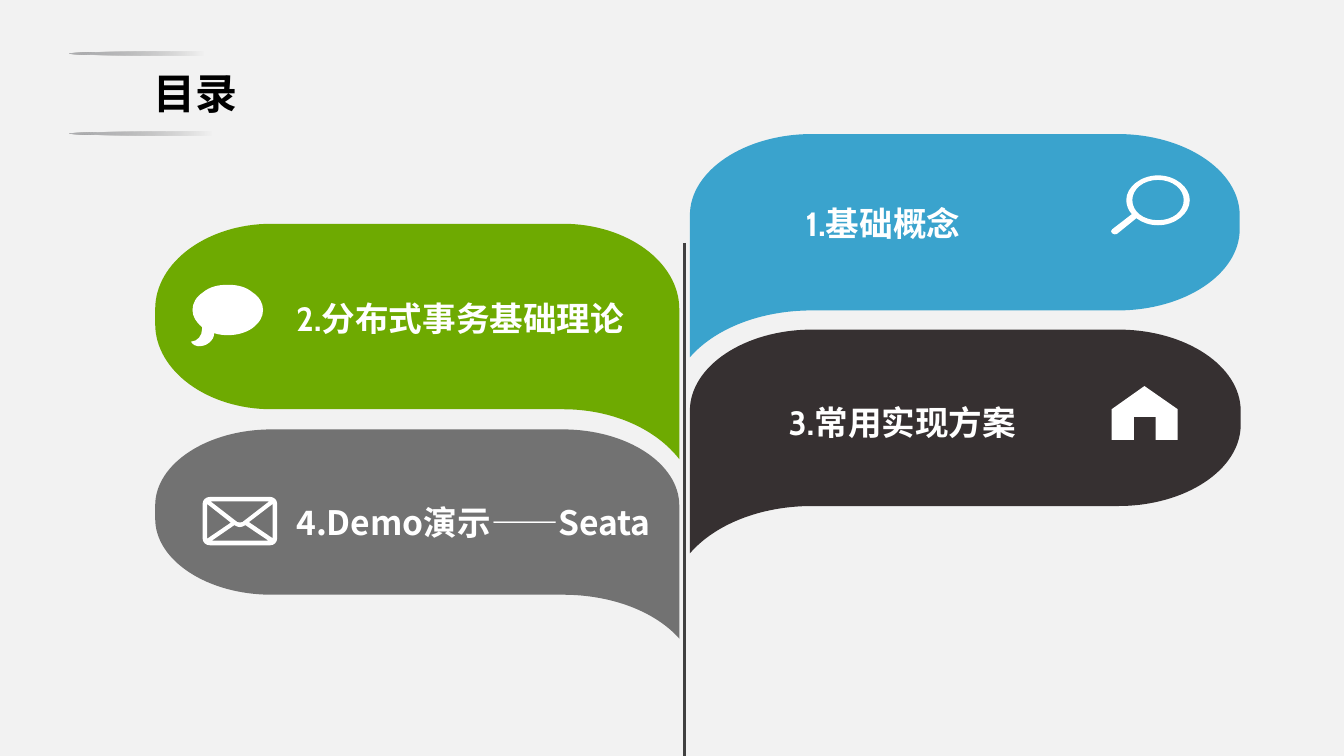
from dataclasses import dataclass

from lxml import etree
from pptx import Presentation
from pptx.dml.color import RGBColor as RGB
from pptx.enum.shapes import MSO_CONNECTOR as CONN, MSO_SHAPE as SHAPE
from pptx.enum.text import MSO_AUTO_SIZE as AUTO
from pptx.oxml import parse_xml
from pptx.oxml.ns import nsdecls, qn
from pptx.util import Pt

PX = 9144  # EMU per px, 100 px to the inch

COLORS = {
    "bg": "F2F2F2", "title": "000000", "white": "FFFFFF", "stem": "404040",
    "green": "6EAA01", "gray": "727272", "blue": "3AA3CD", "dark": "363031",
    "brush": "ACADB0",
}
LATIN, CJK = "Cabin", "Noto Sans CJK SC"

# A contour is a start point, then lines (x, y) and Bezier curves (6 numbers).
Contour = list[tuple]

BUBBLE: list[Contour] = [[
    (522, 615), (522, 629, 515, 640, 501, 651), (488, 660, 471, 665, 452, 665),
    (443, 665, 434, 664, 425, 661), (425, 669, 421, 675, 415, 680),
    (409, 685, 402, 687, 393, 687), (388, 687, 383, 684, 379, 678),
    (386, 677, 391, 675, 395, 670), (399, 666, 401, 659, 401, 653), (401, 649),
    (389, 639, 382, 628, 382, 615), (382, 602, 389, 589, 403, 580),
    (416, 569, 433, 565, 452, 565), (471, 565, 488, 569, 501, 580),
    (515, 589, 522, 602, 522, 615),
]]
ENVELOPE: list[Contour] = [
    [(536, 986), (417, 986), (408, 986, 402, 992, 402, 1000), (402, 1068),
     (402, 1076, 408, 1082, 417, 1082), (536, 1082),
     (544, 1082, 550, 1076, 550, 1068), (550, 1000),
     (550, 992, 544, 986, 536, 986)],
    [(541, 1068), (494, 1036), (541, 1000)],
    [(411, 1069), (411, 1000), (458, 1037)],
    [(481, 1036), (478, 1037, 474, 1037, 471, 1036), (418, 995), (534, 995)],
    [(465, 1042), (469, 1044, 472, 1046, 476, 1046),
     (480, 1046, 483, 1044, 487, 1042), (533, 1073), (420, 1073)],
]
MAGNIFIER: list[Contour] = [
    [(2298, 348), (2264, 348, 2235, 371, 2235, 397),
     (2235, 407, 2239, 417, 2246, 425), (2207, 455),
     (2204, 457, 2204, 461, 2207, 463), (2208, 464, 2210, 465, 2212, 465),
     (2215, 465, 2217, 464, 2218, 463), (2255, 433),
     (2267, 442, 2282, 447, 2298, 447), (2332, 447, 2361, 424, 2361, 397),
     (2361, 371, 2332, 348, 2298, 348)],
    [(2298, 437), (2269, 437, 2247, 420, 2247, 397),
     (2247, 375, 2269, 357, 2298, 357), (2327, 357, 2349, 375, 2349, 397),
     (2349, 420, 2327, 437, 2298, 437)],
]
HOUSE: list[Contour] = [[
    (2271, 766), (2337, 812), (2337, 873), (2293, 873), (2293, 827),
    (2250, 827), (2250, 873), (2206, 873), (2206, 812),
]]


@dataclass
class Leaf:
    color: str
    stem: int
    outer: int
    top: int
    bottom: int
    tip: int
    icon: list[Contour]
    text: str
    text_box: tuple[int, int, int, int]
    font: str = LATIN


LEAVES = [
    Leaf("green", 1348, 308, 444, 812, 911, BUBBLE,
         "2.分布式事务基础理论", (578, 581, 730, 101)),
    Leaf("gray", 1348, 308, 852, 1180, 1267, ENVELOPE,
         "4.Demo演示——Seata", (578, 986, 730, 101), CJK),
    Leaf("blue", 1369, 2460, 266, 616, 709, MAGNIFIER,
         "1.基础概念", (1589, 393, 766, 101)),
    Leaf("dark", 1369, 2462, 654, 1004, 1098, HOUSE,
         "3.常用实现方案", (1555, 787, 768, 101)),
]


def leaf_contour(leaf: Leaf) -> Contour:
    """Rounded bar whose lower inner corner runs out to a tip at the stem."""
    stem, outer, top, bottom, tip = leaf.stem, leaf.outer, leaf.top, leaf.bottom, leaf.tip
    rx = (outer - stem) * 0.222
    ry = (bottom - top) * 0.46
    kx, ky = rx * 0.45, ry * 0.45
    return [
        (stem, tip),
        (stem + rx * 0.2, tip - (tip - bottom) * 0.6,
         stem + rx * 0.57, bottom, stem + rx, bottom),
        (outer - rx, bottom),
        (outer - kx, bottom, outer, bottom - ky, outer, bottom - ry),
        (outer, top + ry),
        (outer, top + ky, outer - kx, top, outer - rx, top),
        (stem + rx, top),
        (stem + kx, top, stem, top + ky, stem, top + ry),
    ]


def add_outline(shapes, contours: list[Contour], color: str) -> None:
    """Draw the contours as one freeform, then bend its curved segments."""
    builder = shapes.build_freeform(*(v * PX for v in contours[0][0]), scale=1.0)
    for i, contour in enumerate(contours):
        if i:
            builder.move_to(*(v * PX for v in contour[0]))
        builder.add_line_segments(
            [(seg[-2] * PX, seg[-1] * PX) for seg in contour[1:]], close=True)
    sp = builder.convert_to_shape()

    segments = [seg for contour in contours for seg in contour[1:]]
    left = min(c[-2] for contour in contours for c in contour) * PX
    top = min(c[-1] for contour in contours for c in contour) * PX
    for line, seg in zip(list(sp.element.iter(qn("a:lnTo"))), segments):
        if len(seg) == 6:
            curve = etree.Element(qn("a:cubicBezTo"))
            for x, y in zip(seg[::2], seg[1::2]):
                pt = etree.SubElement(curve, qn("a:pt"))
                pt.set("x", str(round(x * PX - left)))
                pt.set("y", str(round(y * PX - top)))
            line.getparent().replace(line, curve)

    sp.shadow.inherit = False
    sp.fill.solid()
    sp.fill.fore_color.rgb = RGB.from_string(COLORS[color])
    sp.line.fill.background()


def add_text(shapes, box: tuple[int, int, int, int], text: str, size: int,
             color: str, font: str = LATIN) -> None:
    tf = shapes.add_textbox(*(v * PX for v in box)).text_frame
    tf.word_wrap = True
    tf.auto_size = AUTO.SHAPE_TO_FIT_TEXT
    tf.margin_left = tf.margin_right = tf.margin_top = tf.margin_bottom = 10 * PX
    r = tf.paragraphs[0].add_run()
    r.text = text
    r.font.name, r.font.size, r.font.bold = font, Pt(size), True
    r.font.color.rgb = RGB.from_string(COLORS[color])
    etree.SubElement(r.font._element, qn("a:ea")).set("typeface", CJK)


def add_brush(shapes, box: tuple[int, int, int, int], flip: bool) -> None:
    """Thin ellipse that fades out to the right."""
    sp = shapes.add_shape(SHAPE.OVAL, *(v * PX for v in box))
    sp.shadow.inherit = False
    sp.line.fill.background()
    if flip:
        sp.element.spPr.xfrm.set("flipV", "1")
    sp.element.spPr.insert(2, parse_xml(
        f'<a:gradFill {nsdecls("a")} rotWithShape="1"><a:gsLst>'
        f'<a:gs pos="0"><a:srgbClr val="{COLORS["brush"]}"/></a:gs>'
        f'<a:gs pos="99000"><a:srgbClr val="{COLORS["gray"]}"><a:alpha val="0"/></a:srgbClr></a:gs>'
        '</a:gsLst><a:path path="circle">'
        '<a:fillToRect l="-8000" t="9000" r="108000" b="91000"/></a:path></a:gradFill>'))


def add_stem(shapes, x: int, top: int, bottom: int) -> None:
    line = shapes.add_connector(CONN.STRAIGHT, x * PX, top * PX, x * PX, bottom * PX)
    line.line.color.rgb = RGB.from_string(COLORS["stem"])
    line.line.width = Pt(4)
    etree.SubElement(line.element.spPr, qn("a:effectLst"))


def main() -> None:
    prs = Presentation()
    prs.slide_width, prs.slide_height = 2667 * PX, 1500 * PX
    s = prs.slides.add_slide(prs.slide_layouts[6])
    s.background.fill.solid()
    s.background.fill.fore_color.rgb = RGB.from_string(COLORS["bg"])

    add_brush(s.shapes, (139, 103, 538, 8), flip=True)
    add_brush(s.shapes, (139, 261, 570, 8), flip=False)
    add_text(s.shapes, (294, 124, 555, 121), "目录", 60, "title")
    add_stem(s.shapes, 1358, 482, 1500)
    for leaf in LEAVES:
        group = s.shapes.add_group_shape().shapes
        add_outline(group, [leaf_contour(leaf)], leaf.color)
        add_outline(group, leaf.icon, "white")
        add_text(group, leaf.text_box, leaf.text, 48, "white", leaf.font)
    prs.save("out.pptx")


if __name__ == "__main__":
    main()
